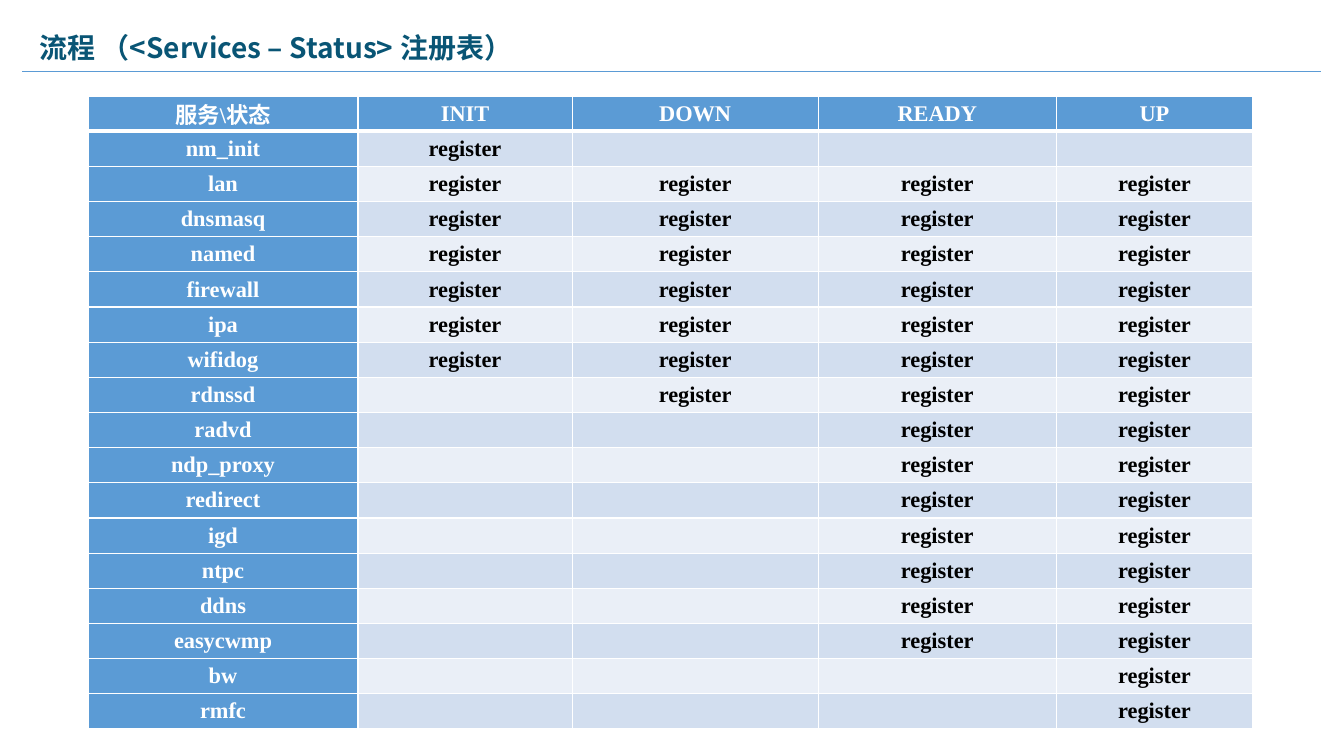
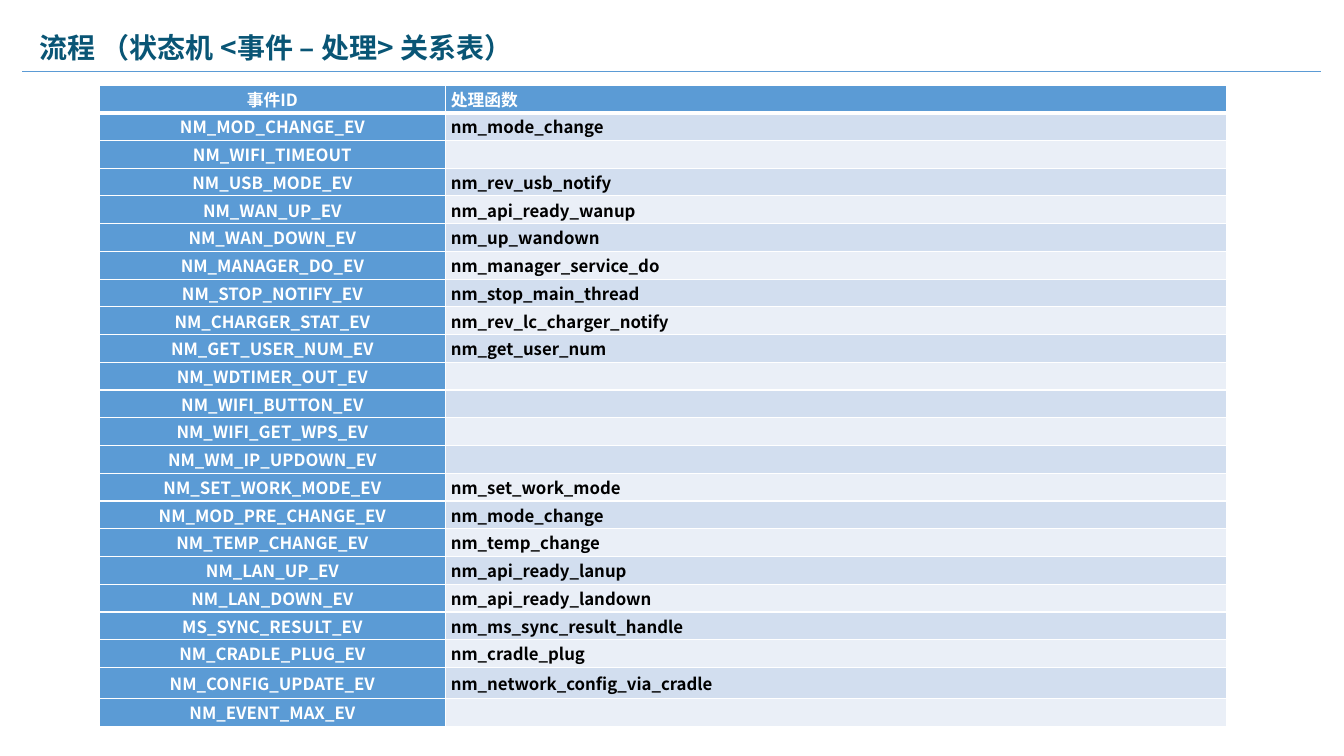
import pptx
import pptx.dml.color
import pptx.enum.shapes
import pptx.enum.text
import pptx.oxml.ns
import pptx.util
from lxml import etree

Cm = pptx.util.Cm
Pt = pptx.util.Pt
qn = pptx.oxml.ns.qn
ALIGN = pptx.enum.text.PP_ALIGN
MIDDLE = pptx.enum.text.MSO_ANCHOR.MIDDLE

COLORS = {
    "title": "095575",
    "accent": "5B9BD5",
    "white": "FFFFFF",
    "black": "000000",
    "band_dark": "D2DEEF",
    "band_light": "EAEFF7",
}
SANS = "Noto Sans CJK SC"
SERIF = "Times New Roman"

STATES = ["INIT", "DOWN", "READY", "UP"]
SERVICES = [
    ("nm_init", "INIT", "INIT"),
    ("lan", "INIT", "UP"),
    ("dnsmasq", "INIT", "UP"),
    ("named", "INIT", "UP"),
    ("firewall", "INIT", "UP"),
    ("ipa", "INIT", "UP"),
    ("wifidog", "INIT", "UP"),
    ("rdnssd", "DOWN", "UP"),
    ("radvd", "READY", "UP"),
    ("ndp_proxy", "READY", "UP"),
    ("redirect", "READY", "UP"),
    ("igd", "READY", "UP"),
    ("ntpc", "READY", "UP"),
    ("ddns", "READY", "UP"),
    ("easycwmp", "READY", "UP"),
    ("bw", "UP", "UP"),
    ("rmfc", "UP", "UP"),
]
EVENTS = [
    ("事件ID", "处理函数"),
    ("NM_MOD_CHANGE_EV", "nm_mode_change"),
    ("NM_WIFI_TIMEOUT", ""),
    ("NM_USB_MODE_EV", "nm_rev_usb_notify"),
    ("NM_WAN_UP_EV", "nm_api_ready_wanup"),
    ("NM_WAN_DOWN_EV", "nm_up_wandown"),
    ("NM_MANAGER_DO_EV", "nm_manager_service_do"),
    ("NM_STOP_NOTIFY_EV", "nm_stop_main_thread"),
    ("NM_CHARGER_STAT_EV", "nm_rev_lc_charger_notify"),
    ("NM_GET_USER_NUM_EV", "nm_get_user_num"),
    ("NM_WDTIMER_OUT_EV", ""),
    ("NM_WIFI_BUTTON_EV", ""),
    ("NM_WIFI_GET_WPS_EV", ""),
    ("NM_WM_IP_UPDOWN_EV", ""),
    ("NM_SET_WORK_MODE_EV", "nm_set_work_mode"),
    ("NM_MOD_PRE_CHANGE_EV", "nm_mode_change"),
    ("NM_TEMP_CHANGE_EV", "nm_temp_change"),
    ("NM_LAN_UP_EV", "nm_api_ready_lanup"),
    ("NM_LAN_DOWN_EV", "nm_api_ready_landown"),
    ("MS_SYNC_RESULT_EV", "nm_ms_sync_result_handle"),
    ("NM_CRADLE_PLUG_EV", "nm_cradle_plug"),
    ("NM_CONFIG_UPDATE_EV", "nm_network_config_via_cradle"),
    ("NM_EVENT_MAX_EV", ""),
]


def rgb(name):
    return pptx.dml.color.RGBColor.from_string(COLORS[name])


def write(tf, text, *, size, color, font=SANS, align=ALIGN.LEFT):
    tf.vertical_anchor = MIDDLE
    p = tf.paragraphs[0]
    p.alignment = align
    if not text:
        etree.SubElement(p._p, qn("a:endParaRPr"), sz=str(size * 100))
        return
    r = p.add_run()
    r.text = text
    r.font.size = Pt(size)
    r.font.bold = True
    r.font.name = font
    r.font.color.rgb = rgb(color)
    etree.SubElement(r._r.get_or_add_rPr(), qn("a:ea"), typeface=SANS)


def set_borders(cell, **widths):
    tc_pr = cell._tc.get_or_add_tcPr()
    for side in "LRTB":
        ln = etree.SubElement(tc_pr, qn(f"a:ln{side}"), w=str(Pt(widths.get(side, 1))))
        fill = etree.SubElement(ln, qn("a:solidFill"))
        etree.SubElement(fill, qn("a:srgbClr"), val=COLORS["white"])


class Deck:
    def __init__(self):
        self.prs = pptx.Presentation()
        self.prs.slide_width = Cm(33.87)
        self.prs.slide_height = Cm(19.05)
        self.s = None

    def slide(self, title):
        self.s = self.prs.slides.add_slide(self.prs.slide_layouts.get_by_name("Title Only"))
        self.rule()
        self.title(title)

    def rule(self):
        line = self.s.shapes.add_connector(
            pptx.enum.shapes.MSO_CONNECTOR.STRAIGHT, Cm(0.56), Cm(1.8), Cm(33.3), Cm(1.8))
        line.line.color.rgb = rgb("accent")
        line.line.width = Pt(1.25)
        etree.SubElement(line._element.spPr, qn("a:effectLst"))

    def title(self, text):
        sp = self.s.shapes.title
        sp.left, sp.top, sp.width, sp.height = Cm(0.74), Cm(0.64), Cm(27.94), Cm(1.12)
        tf = sp.text_frame
        tf.word_wrap = True
        tf.auto_size = pptx.enum.text.MSO_AUTO_SIZE.NONE
        write(tf, text, size=20, color="title")

    def table(self, rows, left, top, widths, heights, *, inset, aligns, **fmt):
        table = self.s.shapes.add_table(
            len(rows), len(widths), Cm(left), Cm(top), Cm(sum(widths)), Cm(sum(heights))).table
        for column, width in zip(table.columns, widths):
            column.width = Cm(width)
        for i, (row, height) in enumerate(zip(rows, heights)):
            table.rows[i].height = Cm(height)
            for j, text in enumerate(row):
                cell = table.cell(i, j)
                cell.margin_left = cell.margin_right = Cm(inset)
                cell.margin_top = cell.margin_bottom = 0
                cell.vertical_anchor = MIDDLE
                set_borders(cell, T=3 if i == 1 else 1, B=3 if i == 0 else 1)
                head = i == 0 or j == 0
                band = "band_dark" if i % 2 else "band_light"
                cell.fill.solid()
                cell.fill.fore_color.rgb = rgb("accent" if head else band)
                write(cell.text_frame, text, color="white" if head else "black",
                      align=aligns[j], **fmt)


def service_rows():
    rows = [["服务\\状态", *STATES]]
    for name, first, last in SERVICES:
        span = range(STATES.index(first), STATES.index(last) + 1)
        rows.append([name] + ["register" if k in span else "" for k in range(len(STATES))])
    return rows


def main():
    deck = Deck()

    deck.slide("流程 （<Services – Status> 注册表）")
    rows = service_rows()
    deck.table(rows, 2.22, 2.42, [6.8, 5.4, 6.2, 6, 4.95], [15.95 / len(rows)] * len(rows),
               inset=0.15, aligns=[ALIGN.CENTER] * 5, size=16, font=SERIF)

    deck.slide("流程 （状态机 <事件 – 处理> 关系表）")
    heights = [0.7] * len(EVENTS)
    heights[-2] = 0.78
    deck.table(EVENTS, 2.5, 2.14, [8.73, 19.68], heights,
               inset=0.13, aligns=[ALIGN.CENTER, ALIGN.JUSTIFY], size=12)

    deck.prs.save("out.pptx")


if __name__ == "__main__":
    main()
